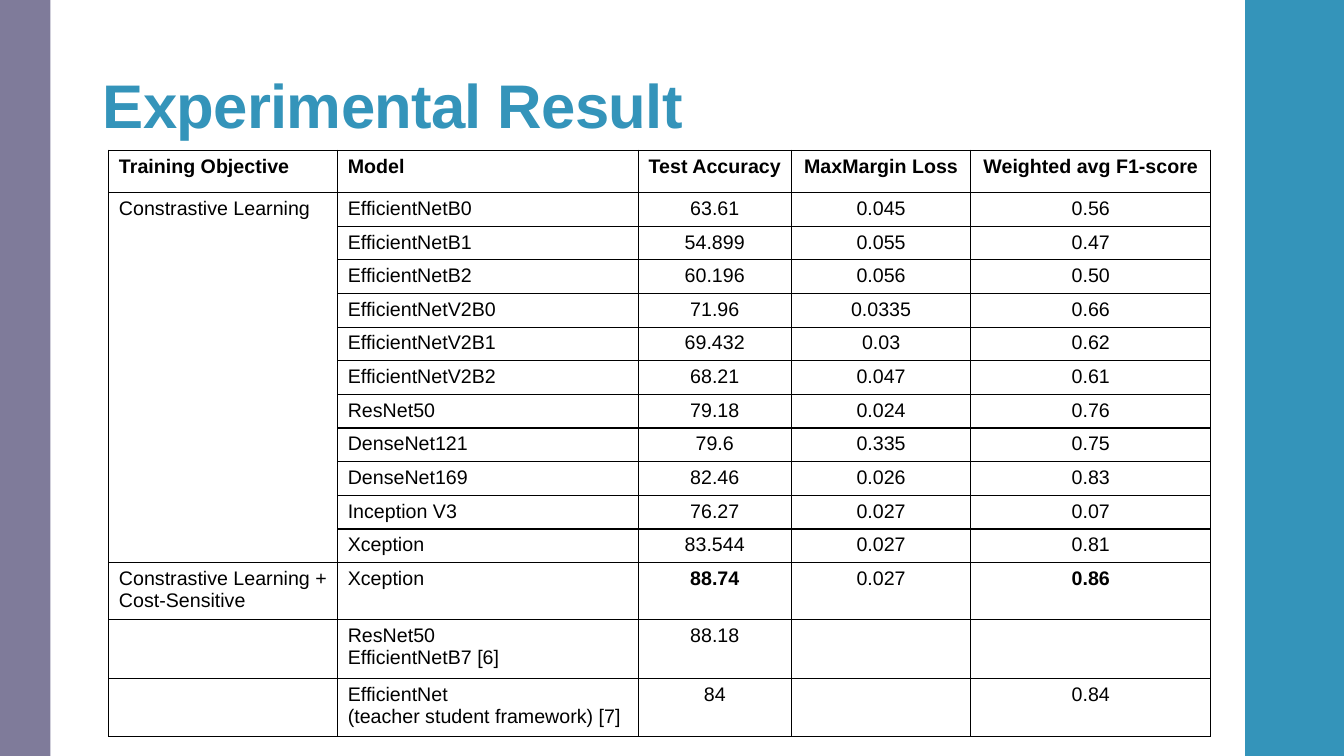
from lxml import etree
from pptx import Presentation
from pptx.dml.color import RGBColor
from pptx.enum import shapes, text
from pptx.oxml.ns import qn
from pptx.util import Inches, Pt

BLUE = RGBColor(0x34, 0x94, 0xBA)
PURPLE = RGBColor(0x7F, 0x7B, 0x9A)
BLACK = RGBColor(0, 0, 0)

COLUMN_WIDTHS = [2.27, 2.98, 1.52, 1.78, 2.38]
ROW_HEIGHTS = [0.42] + [0.29] * 11 + [0.5, 0.58, 0.58]
CONTRASTIVE_ROWS = (1, 11)
BEST_SCORES = {(12, 2), (12, 4)}
RESULTS = [
    ["Training Objective", "Model", "Test Accuracy", "MaxMargin Loss", "Weighted avg F1-score"],
    ["Constrastive Learning", "EfficientNetB0", "63.61", "0.045", "0.56"],
    ["", "EfficientNetB1", "54.899", "0.055", "0.47"],
    ["", "EfficientNetB2", "60.196", "0.056", "0.50"],
    ["", "EfficientNetV2B0", "71.96", "0.0335", "0.66"],
    ["", "EfficientNetV2B1", "69.432", "0.03", "0.62"],
    ["", "EfficientNetV2B2", "68.21", "0.047", "0.61"],
    ["", "ResNet50", "79.18", "0.024", "0.76"],
    ["", "DenseNet121", "79.6", "0.335", "0.75"],
    ["", "DenseNet169", "82.46", "0.026", "0.83"],
    ["", "Inception V3", "76.27", "0.027", "0.07"],
    ["", "Xception", "83.544", "0.027", "0.81"],
    ["Constrastive Learning + Cost-Sensitive", "Xception", "88.74", "0.027", "0.86"],
    ["", "ResNet50\nEfficientNetB7 [6]", "88.18", "", ""],
    ["", "EfficientNet\n(teacher student framework) [7]", "84", "", "0.84"],
]


def add_run(p, words, size, color, bold):
    r = p.add_run()
    r.text = words
    r.font.name = "Arial"
    r.font.size = Pt(size)
    r.font.bold = bold
    r.font.color.rgb = color
    return r


def add_side_band(s, left, width, color):
    sp = s.shapes.add_shape(shapes.MSO_SHAPE.RECTANGLE, Inches(left), 0,
                            Inches(width), Inches(7.5))
    sp.shadow.inherit = False
    sp.fill.solid()
    sp.fill.fore_color.rgb = color
    sp.line.fill.background()


def add_title(s, words):
    sp = s.shapes.add_textbox(Inches(0.92), Inches(0.37), Inches(11.5), Inches(1.09))
    tf = sp.text_frame
    tf.word_wrap = True
    tf.vertical_anchor = text.MSO_ANCHOR.BOTTOM
    tf.margin_top = Inches(0.03)
    p = tf.paragraphs[0]
    p.line_spacing = 0.9
    r = add_run(p, words, 44, BLUE, True)
    r.font._element.set("spc", "-50")


def set_borders(cell):
    tcPr = cell._tc.get_or_add_tcPr()
    for side in ("a:lnL", "a:lnR", "a:lnT", "a:lnB"):
        ln = etree.SubElement(tcPr, qn(side), w=str(Pt(1)))
        fill = etree.SubElement(ln, qn("a:solidFill"))
        etree.SubElement(fill, qn("a:srgbClr"), val=str(BLACK))


def fill_cell(cell, words, bold, centered):
    set_borders(cell)
    cell.fill.background()
    if not words:
        return
    tf = cell.text_frame
    for i, line in enumerate(words.split("\n")):
        p = tf.add_paragraph() if i else tf.paragraphs[0]
        if centered:
            p.alignment = text.PP_ALIGN.CENTER
        add_run(p, line, 14, BLACK, bold)


def add_results_table(s):
    frame = s.shapes.add_table(len(RESULTS), len(COLUMN_WIDTHS), Inches(1.08), Inches(1.49),
                               Inches(sum(COLUMN_WIDTHS)), Inches(sum(ROW_HEIGHTS)))
    table = frame.table
    table.first_row = False
    table.horz_banding = False
    for column, width in zip(table.columns, COLUMN_WIDTHS):
        column.width = Inches(width)
    for row, height in zip(table.rows, ROW_HEIGHTS):
        row.height = Inches(height)
    for i, values in enumerate(RESULTS):
        for j, words in enumerate(values):
            bold = i == 0 or (i, j) in BEST_SCORES
            fill_cell(table.cell(i, j), words, bold, j >= 2)
    first, last = CONTRASTIVE_ROWS
    table.cell(first, 0).merge(table.cell(last, 0))


def main():
    prs = Presentation()
    prs.slide_width = Inches(13.33)
    prs.slide_height = Inches(7.5)
    s = prs.slides.add_slide(prs.slide_layouts[6])
    add_side_band(s, 12.35, 0.98, BLUE)
    add_side_band(s, 0, 0.5, PURPLE)
    add_title(s, "Experimental Result")
    add_results_table(s)
    prs.save("out.pptx")


if __name__ == "__main__":
    main()
